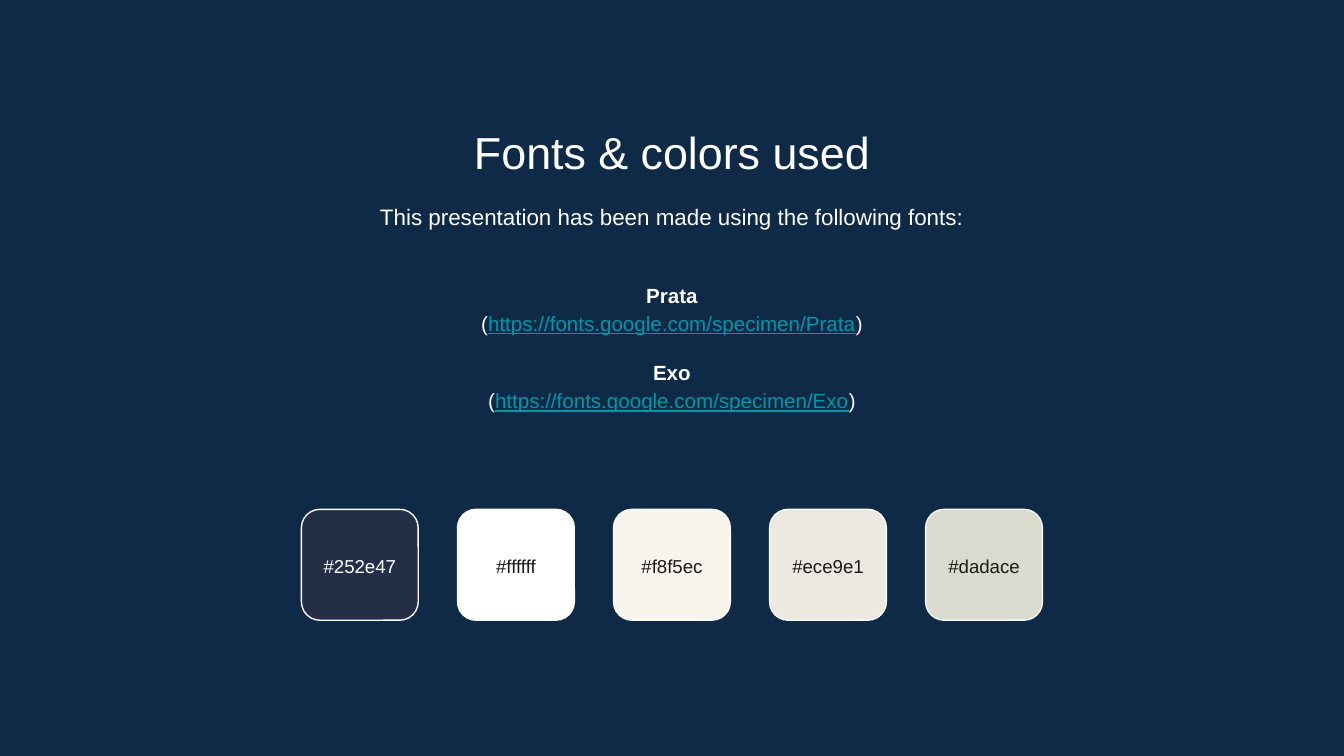
"""Build the fonts and colors slide."""
from pptx import Presentation
from pptx.dml.color import RGBColor
from pptx.enum.shapes import MSO_SHAPE
from pptx.enum.text import MSO_ANCHOR, PP_ALIGN
from pptx.util import Pt

COLORS = {"background": "0E2A47", "light": "FFFFFF", "dark": "191919", "link": "0097A7"}
TITLE = "Fonts & colors used"
INTRO = "This presentation has been made using the following fonts:"
FONTS = [
    ("Prata", "https://fonts.google.com/specimen/Prata"),
    ("Exo", "https://fonts.google.com/specimen/Exo"),
]
SWATCHES = [
    ("#252e47", "light"),
    ("#ffffff", "dark"),
    ("#f8f5ec", "dark"),
    ("#ece9e1", "dark"),
    ("#dadace", "dark"),
]

SLIDE_WIDTH, SLIDE_HEIGHT = 720, 405
TEXT_LEFT, TEXT_WIDTH = 82.6, 554.8
SWATCH_TOP, SWATCH_WIDTH, SWATCH_HEIGHT, SWATCH_PITCH = 272.9, 62.6, 59.4, 83.6
LABEL_HEIGHT = 34.8
FONT_GAP = 11


def rgb(value):
    return RGBColor.from_string(value.lstrip("#").upper())


def add_text(slide, box, paragraphs, size, spacing=1.0, anchor=MSO_ANCHOR.TOP, gaps=None):
    frame = slide.shapes.add_textbox(*map(Pt, box)).text_frame
    frame_format = {"word_wrap": True, "vertical_anchor": anchor}
    frame_format.update({f"margin_{side}": Pt(7.2) for side in ("left", "top", "right", "bottom")})
    for name, value in frame_format.items():
        setattr(frame, name, value)
    for index, runs in enumerate(paragraphs):
        paragraph = frame.add_paragraph() if index else frame.paragraphs[0]
        paragraph.alignment = PP_ALIGN.CENTER
        paragraph.line_spacing = spacing
        if gaps and index in gaps:
            paragraph.space_before = Pt(gaps[index])
        for text, color, extra in runs:
            run = paragraph.add_run()
            run.text = text
            run.font.color.rgb = rgb(COLORS[color])
            for name, value in {"name": "Arial", "size": Pt(size), **extra}.items():
                setattr(run.font, name, value)


def add_swatch(slide, left, code, text_color):
    shape = slide.shapes.add_shape(
        MSO_SHAPE.ROUNDED_RECTANGLE,
        *map(Pt, (left, SWATCH_TOP, SWATCH_WIDTH, SWATCH_HEIGHT)),
    )
    shape.shadow.inherit = False
    shape.fill.solid()
    shape.fill.fore_color.rgb = rgb(code)
    shape.line.color.rgb = rgb(COLORS["light"])
    shape.line.width = Pt(0.75)
    label_top = SWATCH_TOP + (SWATCH_HEIGHT - LABEL_HEIGHT) / 2 + 0.5
    add_text(slide, (left, label_top, SWATCH_WIDTH, LABEL_HEIGHT),
             [[(code, text_color, {})]], 10, anchor=MSO_ANCHOR.MIDDLE)


def main():
    presentation = Presentation()
    presentation.slide_width, presentation.slide_height = Pt(SLIDE_WIDTH), Pt(SLIDE_HEIGHT)
    slide = presentation.slides.add_slide(presentation.slide_layouts[6])
    slide.background.fill.solid()
    slide.background.fill.fore_color.rgb = rgb(COLORS["background"])

    add_text(slide, (TEXT_LEFT, 59.8, TEXT_WIDTH, 38.2), [[(TITLE, "light", {})]], 24)
    add_text(slide, (TEXT_LEFT, 99.4, TEXT_WIDTH, 34.6), [[(INTRO, "light", {})]], 12, 1.15)

    font_lines = []
    for name, address in FONTS:
        font_lines.append([(name, "light", {"bold": True})])
        font_lines.append([("(", "light", {}), (address, "link", {"underline": True}),
                           (")", "light", {})])
    gaps = {index: FONT_GAP for index in range(2, len(font_lines), 2)}
    add_text(slide, (TEXT_LEFT, 136.1, TEXT_WIDTH, 98.6), font_lines, 11, 1.15,
             MSO_ANCHOR.MIDDLE, gaps)

    row_width = SWATCH_PITCH * (len(SWATCHES) - 1) + SWATCH_WIDTH
    row_left = (SLIDE_WIDTH - row_width) / 2
    for index, (code, text_color) in enumerate(SWATCHES):
        add_swatch(slide, row_left + index * SWATCH_PITCH, code, text_color)

    presentation.save("out.pptx")


if __name__ == "__main__":
    main()
